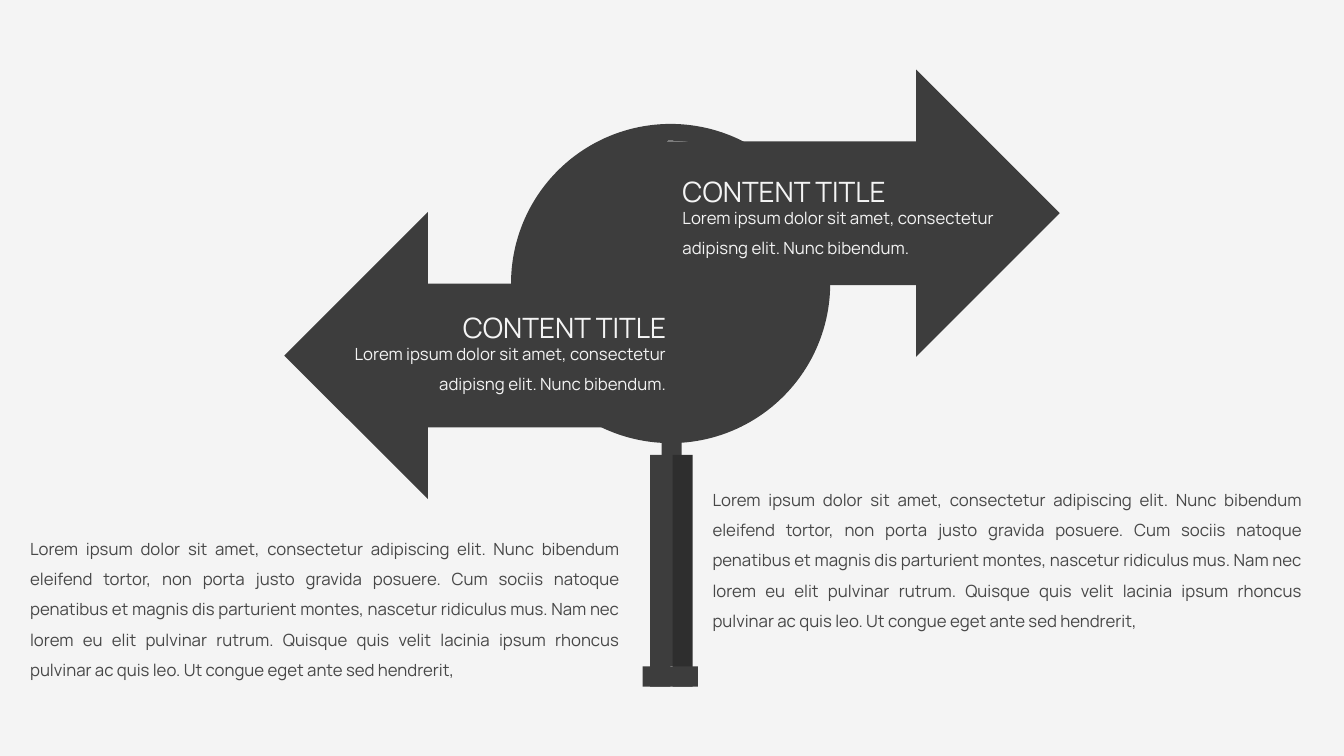
from pptx import Presentation
from pptx.util import Inches, Pt
from pptx.dml.color import RGBColor
from pptx.enum.shapes import MSO_SHAPE
from pptx.enum.text import MSO_AUTO_SIZE, PP_ALIGN
from pptx.oxml.ns import qn

RECT, OVAL, ARROW = MSO_SHAPE.RECTANGLE, MSO_SHAPE.OVAL, MSO_SHAPE.RIGHT_ARROW
LEFT, RIGHT, FULL = PP_ALIGN.LEFT, PP_ALIGN.RIGHT, PP_ALIGN.JUSTIFY
GROW = MSO_AUTO_SIZE.SHAPE_TO_FIT_TEXT

TITLE = "CONTENT TITLE"
BRIEF = "Lorem ipsum dolor sit amet, consectetur adipisng elit. Nunc bibendum."
STORY = (
    "Lorem ipsum dolor sit amet, consectetur adipiscing elit. Nunc bibendum "
    "eleifend tortor, non porta justo gravida posuere. Cum sociis natoque "
    "penatibus et magnis dis parturient montes, nascetur ridiculus mus. Nam nec "
    "lorem eu elit pulvinar rutrum. Quisque quis velit lacinia ipsum rhoncus "
    "pulvinar ac quis leo. Ut congue eget ante sed hendrerit,"
)
THEME = {
    "font": "Manrope", "back": "F4F4F4", "dark": "3D3D3D", "shade": "2E2E2E",
    "text": "474747", "head": 20, "body": 12, "ring": 12, "lead": 1.5,
}

CELL = Inches(0.1)
COLS, ROWS = 133.33, 75

LOBES = [
    [(80.9, 27.4),
     (81.6, 29.4), (80.4, 40.3), (72.2, 41.6),
     (69.8, 43.2), (67.2, 44.5), (66.5, 42.5),
     (66.5, 37.7), (66.3, 32.8), (66.3, 28)],
    [(51.8, 28.8),
     (51.1, 26.8), (52.5, 16.3), (60.7, 15),
     (63.1, 13.4), (65.5, 11.6), (66.2, 13.6),
     (66.2, 18.4), (66.4, 23.4), (66.4, 28.1),
     (65.5, 28.2), (64.5, 29.4), (63.6, 29.5)],
]
NECK = (65.63, 43.1, 2, 23)
RING = (51.53, 13.13, 30, 30)
POST = [
    ((64.5, 45.13, 2, 23), "dark"),
    ((66.72, 45.13, 2, 23), "shade"),
    ((63.74, 66.12, 5.5, 2), "dark"),
]
SIGN = (65.63, 6.9, 39.5, 28.5)
BACK = (COLS - SIGN[0] - SIGN[2], 21.02, SIGN[2], SIGN[3])
LABELS = [(66.72, 15.2, LEFT), (32.87, 28.66, RIGHT)]
STORIES = [(69.7, 47.07), (2, 51.94)]


def cells(*nums):
    return [round(n * CELL) for n in nums]


def tint(name):
    return RGBColor.from_string(THEME[name])


def paint(shape, name):
    shape.shadow.inherit = False
    shape.fill.solid()
    shape.fill.fore_color.rgb = tint(name)
    shape.line.fill.background()


def block(art, kind, box, name="dark"):
    shape = art.shapes.add_shape(kind, *cells(*box))
    paint(shape, name)
    return shape


def lobe(art, dots):
    form = art.shapes.build_freeform(*cells(*dots[0]))
    form.add_line_segments([cells(*dot) for dot in dots[1:]], close=True)
    shape = form.convert_to_shape()
    paint(shape, "dark")
    lines = list(shape.element.iter(qn("a:lnTo")))
    for i in range(0, len(lines), 3):
        curve = lines[i]
        curve.tag = qn("a:cubicBezTo")
        for line in lines[i + 1:i + 3]:
            curve.append(line[0])
            line.getparent().remove(line)


def write(slide, text, box, align, size, name):
    shape = slide.shapes.add_textbox(*cells(*box))
    frame = shape.text_frame
    frame.text = text
    frame.word_wrap = True
    frame.auto_size = GROW
    para = frame.paragraphs[0]
    para.alignment = align
    para.line_spacing = THEME["lead"]
    font = para.runs[0].font
    font.name, font.size = THEME["font"], Pt(THEME[size])
    font.color.rgb = tint(name)


def main():
    deck = Presentation()
    deck.slide_width, deck.slide_height = cells(COLS, ROWS)
    slide = deck.slides.add_slide(deck.slide_layouts[6])
    slide.background.fill.solid()
    slide.background.fill.fore_color.rgb = tint("back")

    art = slide.shapes.add_group_shape()
    for dots in LOBES:
        lobe(art, dots)
    block(art, RECT, NECK)
    ring = block(art, OVAL, RING)
    ring.fill.background()
    ring.line.color.rgb = tint("dark")
    ring.line.width = Pt(THEME["ring"])
    for box, name in POST:
        block(art, RECT, box, name)
    block(art, ARROW, SIGN)
    block(art, ARROW, BACK).rotation = 180

    for x, y, align in LABELS:
        write(slide, BRIEF, (x, y + 3.93, 34.2, 6.7), align, "body", "back")
        write(slide, TITLE, (x, y, 34.2, 5.5), align, "head", "back")
    for x, y in STORIES:
        write(slide, STORY, (x, y, 60.5, 16.2), FULL, "body", "text")

    deck.save("out.pptx")


if __name__ == "__main__":
    main()
